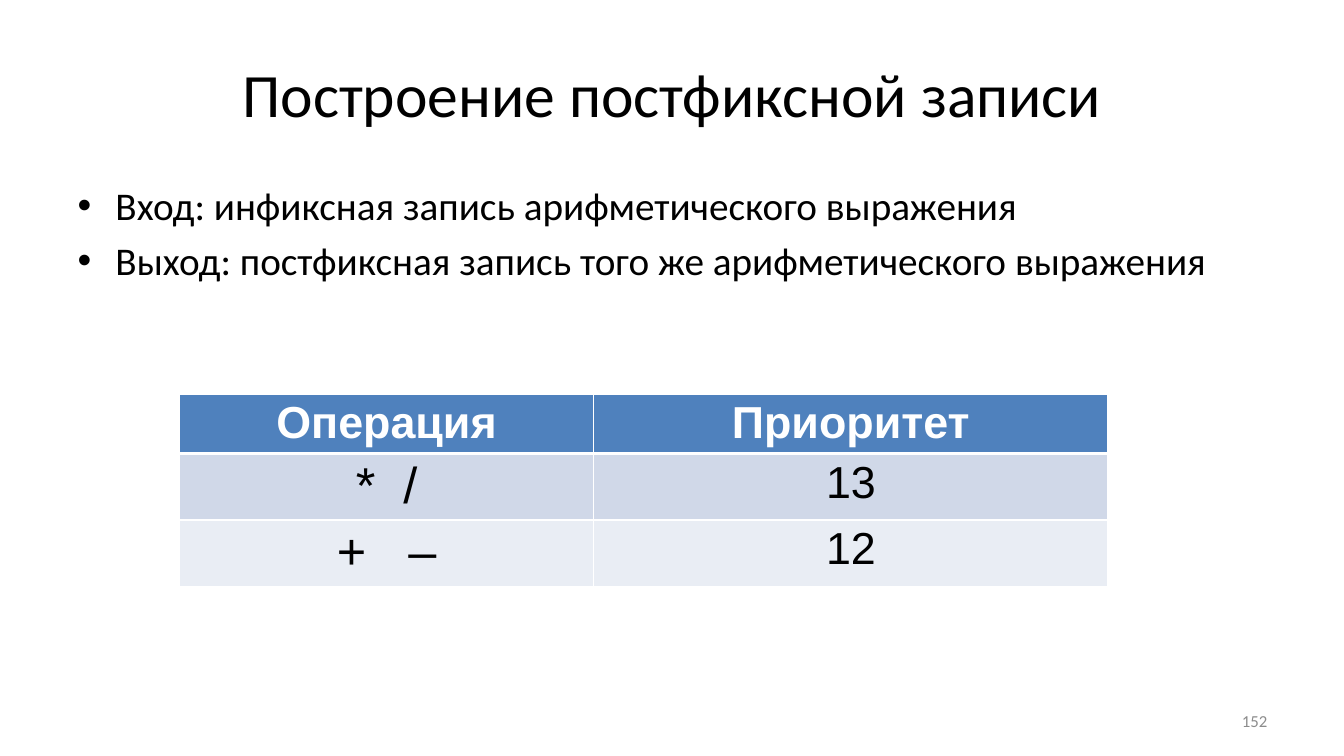
"""Build the slide on postfix notation with its table of priorities."""
from dataclasses import dataclass
from typing import Any

from lxml import etree
from pptx import Presentation
from pptx.dml.color import RGBColor
from pptx.enum.text import MSO_ANCHOR, PP_ALIGN
from pptx.oxml.ns import qn
from pptx.util import Inches, Pt

LEFT, MID, RIGHT = PP_ALIGN.LEFT, PP_ALIGN.CENTER, PP_ALIGN.RIGHT
CENTRE = MSO_ANCHOR.MIDDLE


@dataclass(frozen=True)
class Theme:
    """Colours, fonts and type sizes of the slide."""
    ink: str = "000000"
    white: str = "FFFFFF"
    grey: str = "8C8C8C"
    head: str = "4F81BD"
    bands: tuple[str, ...] = ("D0D8E8", "E9EDF4")
    text: str = "Calibri"
    grid: str = "Arial"
    title: int = 44
    body: int = 28
    cell: int = 32
    sign: int = 36
    note: int = 12


@dataclass(frozen=True)
class Box:
    """Place of an element in inches."""
    left: float
    top: float
    width: float
    height: float


@dataclass(frozen=True)
class Entry:
    """Text of one table cell, its size and extra gap in points."""
    text: str
    size: int
    gap: int = 0


THEME = Theme()
COLS = (4.11, 5.1)
ROWS = (0.59, 0.66, 0.66)
GRID = Box(1.78, 3.91, sum(COLS), sum(ROWS))
TABLE = (
    (Entry("Операция", THEME.cell), Entry("Приоритет", THEME.cell)),
    (Entry("* /", THEME.sign, 10), Entry("13", THEME.cell)),
    (Entry("+ –", THEME.sign, 20), Entry("12", THEME.cell)),
)
ITEMS = (
    "Вход: инфиксная запись арифметического выражения",
    "Выход: постфиксная запись того же арифметического выражения",
)


def place(shape: Any, box: Box) -> None:
    """Move a shape to its box."""
    shape.left, shape.top = Inches(box.left), Inches(box.top)
    shape.width, shape.height = Inches(box.width), Inches(box.height)


def write(para: Any, text: str, *, size: int, font: str = THEME.text,
          color: str = THEME.ink, bold: bool = False,
          align: PP_ALIGN = LEFT, before: float = 0, gap: int = 0) -> None:
    """Put formatted text in a paragraph, widening its spaces by the gap."""
    para.alignment = align
    para.space_before = Pt(before)
    for part in text.partition(" ") if gap else (text,):
        run = para.add_run()
        run.text = part
        run.font.name, run.font.size, run.font.bold = font, Pt(size), bold
        run.font.color.rgb = RGBColor.from_string(color)
        if part == " ":
            run.font._element.set("spc", str(gap * 100))


def edge(cell: Any, top: int, bottom: int) -> None:
    """Draw white borders around a cell."""
    props = cell._tc.get_or_add_tcPr()
    for side, width in zip("LRTB", (1, 1, top, bottom)):
        line = etree.SubElement(props, qn(f"a:ln{side}"), w=str(Pt(width)))
        fill = etree.SubElement(line, qn("a:solidFill"))
        etree.SubElement(fill, qn("a:srgbClr"), val=THEME.white)


def draw_table(slide: Any) -> None:
    """Add the table of operations and priorities."""
    frame = slide.shapes.add_table(
        len(ROWS), len(COLS), Inches(GRID.left), Inches(GRID.top),
        Inches(GRID.width), Inches(GRID.height))
    table = frame.table
    for col, width in zip(table.columns, COLS):
        col.width = Inches(width)
    for i, (row, height) in enumerate(zip(table.rows, ROWS)):
        row.height = Inches(height)
        head = i == 0
        for cell, entry in zip(row.cells, TABLE[i]):
            cell.margin_top = cell.margin_bottom = Inches(0.04)
            edge(cell, 3 if i == 1 else 1, 3 if head else 1)
            cell.fill.solid()
            shade = THEME.head if head else THEME.bands[(i - 1) % 2]
            cell.fill.fore_color.rgb = RGBColor.from_string(shade)
            write(cell.text_frame.paragraphs[0], entry.text, size=entry.size,
                  font=THEME.grid, color=THEME.white if head else THEME.ink,
                  bold=head, align=MID, gap=entry.gap)


def main() -> None:
    """Build and save the slide."""
    deck = Presentation()
    deck.slide_width, deck.slide_height = Inches(13.33), Inches(7.5)
    slide = deck.slides.add_slide(deck.slide_layouts[1])

    title, body = slide.shapes.title, slide.placeholders[1]
    place(title, Box(0.67, 0.3, 12, 1.25))
    title.text_frame.vertical_anchor = CENTRE
    write(title.text_frame.paragraphs[0], "Построение постфиксной записи",
          size=THEME.title, align=MID)

    place(body, Box(0.67, 1.75, 12, 4.95))
    for i, item in enumerate(ITEMS):
        frame = body.text_frame
        para = frame.add_paragraph() if i else frame.paragraphs[0]
        write(para, item, size=THEME.body, before=5.6 if i else 0)

    draw_table(slide)

    page = slide.shapes.add_textbox(0, 0, 0, 0)
    place(page, Box(9.56, 6.95, 3.11, 0.4))
    page.text_frame.word_wrap = True
    page.text_frame.vertical_anchor = CENTRE
    write(page.text_frame.paragraphs[0], "152", size=THEME.note,
          color=THEME.grey, align=RIGHT)

    deck.save("out.pptx")


if __name__ == "__main__":
    main()
